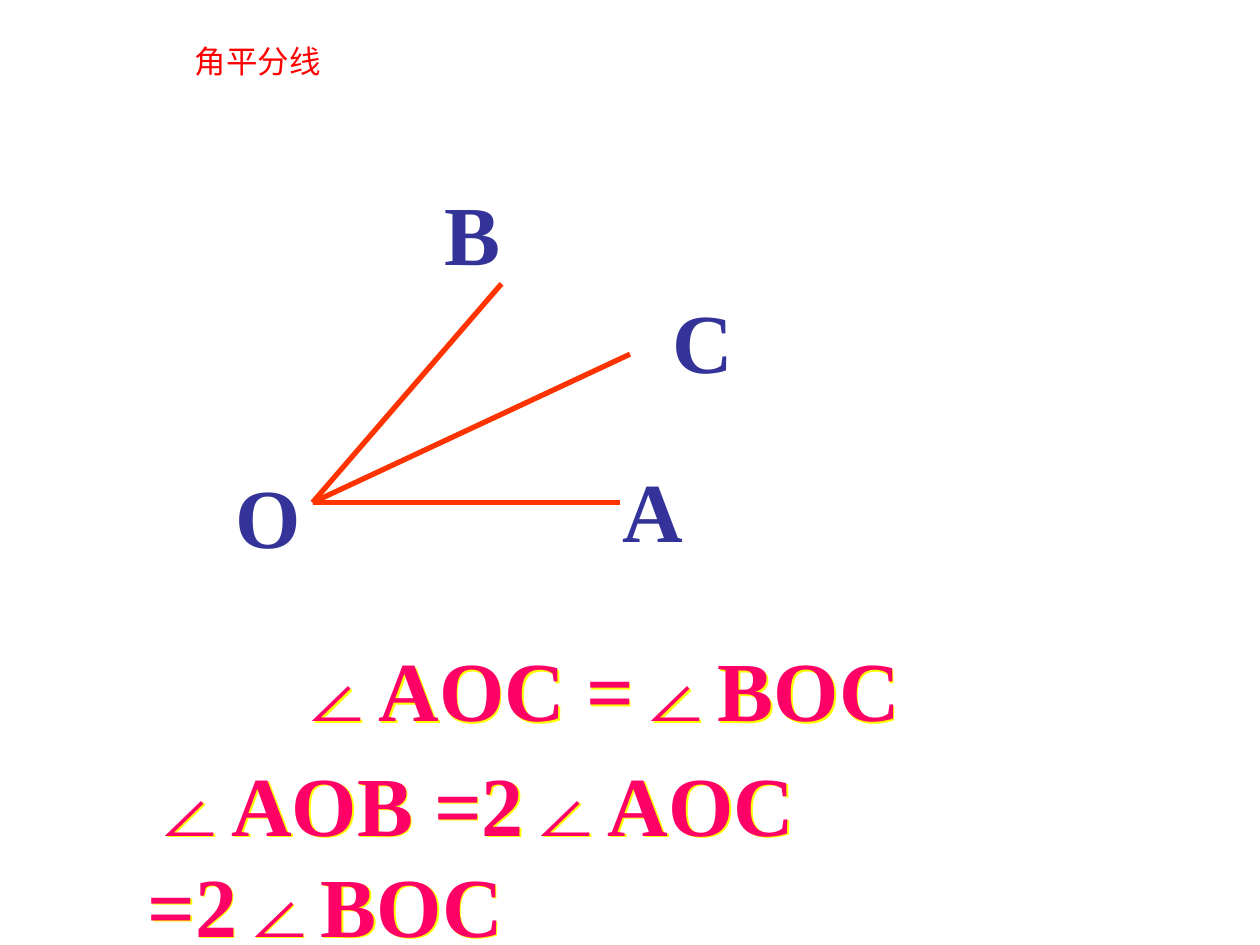
from lxml import etree
from pptx import Presentation
from pptx.dml.color import RGBColor
from pptx.enum.shapes import MSO_CONNECTOR
from pptx.enum.text import MSO_ANCHOR, PP_ALIGN
from pptx.oxml.ns import qn
from pptx.util import Cm, Pt

LATIN = "Times New Roman"
CJK = "Noto Sans CJK SC"
LABEL_HEIGHT = 2.29


def rgb(value):
    """Return the colour for a hex string."""
    return RGBColor.from_string(value)


def style_text(tf, size, font, color, bold):
    """Format the first paragraph for Latin and East Asian glyphs alike."""
    p = tf.paragraphs[0]
    p.font.size = Pt(size)
    p.font.name = font
    p.font.bold = bold
    p.font.color.rgb = rgb(color)
    for r in p.runs:
        ea = etree.SubElement(r._r.get_or_add_rPr(), qn("a:ea"))
        ea.set("typeface", font)


def add_text(slide, text, x, y, width, color, wrap=True):
    """Add a bold 48-point line of text."""
    sp = slide.shapes.add_textbox(Cm(x), Cm(y), Cm(width), Cm(LABEL_HEIGHT))
    tf = sp.text_frame
    tf.word_wrap = wrap
    tf.text = text
    style_text(tf, 48, LATIN, color, True)
    return sp


def add_shadow(sp, color):
    """Give a shape a hard shadow towards the lower right."""
    effects = etree.SubElement(sp._element.spPr, qn("a:effectLst"))
    shadow = etree.SubElement(effects, qn("a:outerShdw"), dist="17961", dir="2700000", algn="ctr", rotWithShape="0")
    etree.SubElement(shadow, qn("a:srgbClr"), val=color)


def add_title(slide, text, x, y, width, height):
    """Place and format the title placeholder."""
    title = slide.shapes.title
    title.left, title.top, title.width, title.height = Cm(x), Cm(y), Cm(width), Cm(height)
    tf = title.text_frame
    tf.text = text
    tf.vertical_anchor = MSO_ANCHOR.TOP
    tf.paragraphs[0].alignment = PP_ALIGN.CENTER
    style_text(tf, 18, CJK, "FF0000", False)


def add_angle(slide, x, y):
    """Draw the angle AOB and its bisector OC from the vertex at x, y."""
    for dx, dy in ((3.81, -4.41), (6.2, 0), (6.4, -2.99)):
        ray = slide.shapes.add_connector(MSO_CONNECTOR.STRAIGHT, Cm(x), Cm(y), Cm(x + dx), Cm(y + dy))
        ray.line.color.rgb = rgb("FF3300")
        ray.line.width = Pt(3)
        etree.SubElement(ray._element.spPr, qn("a:effectLst"))
    labels = (
        ("O", -1.8, -0.88, 1.83),
        ("B", 2.41, -6.6, 1.63),
        ("A", 5.99, -1.01, 1.73),
        ("C", 7.01, -4.41, 1.8),
    )
    for name, dx, dy, width in labels:
        add_text(slide, name, x + dx, y + dy, width, "333399", wrap=False)


def add_equations(slide, x, y):
    """Write the equalities that define the bisector."""
    equations = (
        ("∠AOC =∠BOC", 2.97, 0, 14.2),
        ("∠AOB =2∠AOC =2∠BOC", 0, 2.31, 20.32),
    )
    for text, dx, dy, width in equations:
        add_shadow(add_text(slide, text, x + dx, y + dy, width, "FF0066"), "FFFF00")


def main():
    """Build and save the slide."""
    prs = Presentation()
    prs.slide_width, prs.slide_height = Cm(25.4), Cm(19.05)
    slide = prs.slides.add_slide(prs.slide_layouts[5])
    add_angle(slide, 6.3, 10.13)
    add_equations(slide, 2.72, 12.73)
    add_title(slide, "角平分线", 1.5, 0.71, 7.39, 4.47)
    prs.save("out.pptx")


if __name__ == "__main__":
    main()
